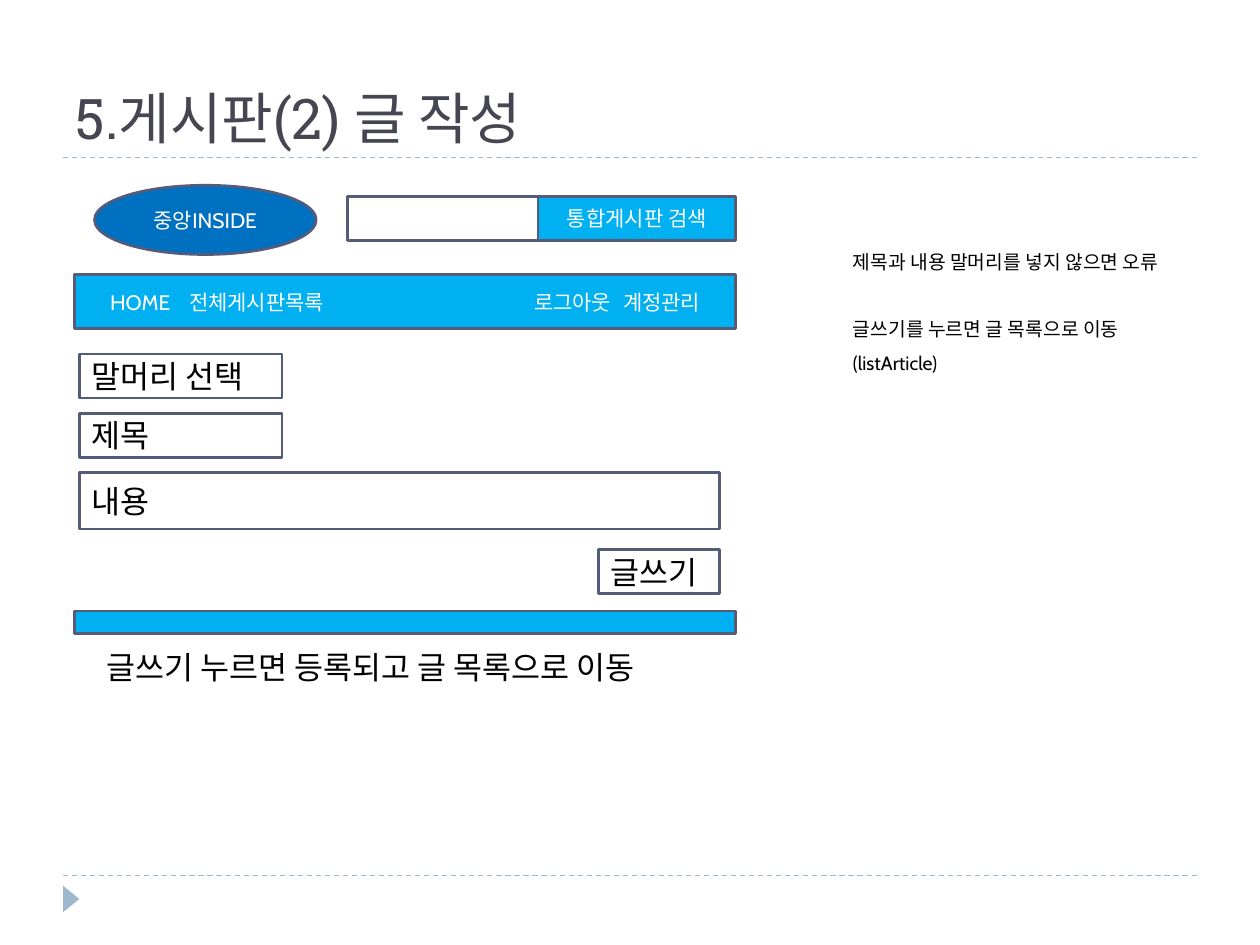
from dataclasses import dataclass

from lxml.etree import SubElement
from pptx import Presentation
from pptx.dml.color import RGBColor
from pptx.enum.dml import MSO_LINE
from pptx.enum.shapes import MSO_CONNECTOR, MSO_SHAPE
from pptx.enum.text import MSO_ANCHOR, PP_ALIGN
from pptx.oxml.ns import qn
from pptx.util import Pt

WHITE, BLACK = "FFFFFF", "000000"
SKY, BLUE, BORDER, RULE, HEADING = "00B0F0", "0070C0", "545C79", "9FB8CD", "464653"
SIDE_INSET, TOP_INSET = 7.2, 3.6
PAGE_LEFT, PAGE_RIGHT = 36, 684
FIELD_LEFT, FIELD_RIGHT = 45.36, 411.12
BAR_LEFT, BAR_WIDTH = 42.48, 378
ROW_HEIGHT = 25.2


@dataclass(frozen=True)
class Box:
    left: float
    top: float
    width: float
    height: float
    text: str = ""
    fill: str = WHITE
    color: str = BLACK
    size: float = 18
    align: PP_ALIGN = PP_ALIGN.LEFT
    outline: MSO_SHAPE = MSO_SHAPE.RECTANGLE


@dataclass(frozen=True)
class Note:
    text: str
    space_before: float


BUTTON = dict(color=WHITE, size=12, align=PP_ALIGN.CENTER)
NAVIGATION = Box(BAR_LEFT, 156.96, BAR_WIDTH, 30.96,
                 "HOME\t전체게시판목록\t로그아웃\t계정관리", SKY, WHITE, 12)
NAVIGATION_INDENT = 20.4
NAVIGATION_TABS = (45.1, 242.3, 293.1)
BOXES = (
    Box(54, 105.84, 126.72, 39.6, "중앙INSIDE", BLUE,
        outline=MSO_SHAPE.OVAL, **BUTTON),
    Box(198.72, 112.32, 109.44, ROW_HEIGHT),
    Box(307.44, 112.32, 113.04, ROW_HEIGHT, "통합게시판 검색", SKY, **BUTTON),
    Box(FIELD_LEFT, 202.32, 115.92, ROW_HEIGHT, "말머리 선택"),
    Box(FIELD_LEFT, 236.16, 115.92, ROW_HEIGHT, "제목"),
    Box(FIELD_LEFT, 270, FIELD_RIGHT - FIELD_LEFT, 32.4, "내용"),
    Box(FIELD_RIGHT - 69.12, 313.92, 69.12, ROW_HEIGHT, "글쓰기"),
    Box(BAR_LEFT, 349.2, BAR_WIDTH, 12.96, fill=SKY),
)
NOTES = (
    Note("제목과 내용 말머리를 넣지 않으면 오류", 0),
    Note("글쓰기를 누르면 글 목록으로 이동", 25.2),
    Note("(listArticle)", 6),
)


def rgb(value: str) -> RGBColor:
    return RGBColor.from_string(value)


def format_frame(frame, anchor=MSO_ANCHOR.TOP, left=SIDE_INSET, top=TOP_INSET) -> None:
    settings = dict(word_wrap=True, vertical_anchor=anchor,
                    margin_left=Pt(left), margin_right=Pt(SIDE_INSET),
                    margin_top=Pt(top), margin_bottom=Pt(TOP_INSET))
    for key, value in settings.items():
        setattr(frame, key, value)


def write(paragraph, text: str, size: float, color: str = BLACK,
          align=PP_ALIGN.LEFT, font: str = "Cabin") -> None:
    paragraph.alignment = align
    run = paragraph.add_run()
    run.text = text
    for key, value in dict(name=font, size=Pt(size), bold=False).items():
        setattr(run.font, key, value)
    run.font.color.rgb = rgb(color)


def place(shape, left: float, top: float, width: float, height: float) -> None:
    for key, value in dict(left=left, top=top, width=width, height=height).items():
        setattr(shape, key, Pt(value))


def draw_box(slide, box: Box, indent: float = SIDE_INSET):
    shape = slide.shapes.add_shape(
        box.outline, Pt(box.left), Pt(box.top), Pt(box.width), Pt(box.height))
    shape.shadow.inherit = False
    shape.fill.solid()
    shape.fill.fore_color.rgb = rgb(box.fill)
    shape.line.color.rgb = rgb(BORDER)
    shape.line.width = Pt(1.5)
    format_frame(shape.text_frame, MSO_ANCHOR.MIDDLE, indent)
    if box.text:
        write(shape.text_frame.paragraphs[0], box.text, box.size, box.color, box.align)
    return shape


def set_tabs(paragraph, positions: tuple[float, ...]) -> None:
    tabs = SubElement(paragraph._p.get_or_add_pPr(), qn("a:tabLst"))
    for position in positions:
        SubElement(tabs, qn("a:tab"), pos=str(Pt(position)), algn="l")


def draw_rule(slide, y: float) -> None:
    rule = slide.shapes.add_connector(
        MSO_CONNECTOR.STRAIGHT, Pt(PAGE_LEFT), Pt(y), Pt(PAGE_RIGHT), Pt(y))
    rule.line.color.rgb = rgb(RULE)
    rule.line.width = Pt(0.75)
    rule.line.dash_style = MSO_LINE.DASH
    SubElement(rule._element.spPr, qn("a:effectLst"))


def draw_page_marker(slide) -> None:
    marker = slide.shapes.add_shape(
        MSO_SHAPE.ISOSCELES_TRIANGLE, Pt(33.12), Pt(509.04), Pt(15.12), Pt(9.36))
    marker.rotation = 90
    marker.shadow.inherit = False
    marker.fill.solid()
    marker.fill.fore_color.rgb = rgb(RULE)
    marker.line.fill.background()


def draw_title(slide) -> None:
    title = slide.shapes.title
    place(title, PAGE_LEFT, 12.24, PAGE_RIGHT - PAGE_LEFT, 77.76)
    format_frame(title.text_frame, MSO_ANCHOR.BOTTOM)
    write(title.text_frame.paragraphs[0], "5.게시판(2) 글 작성", 32, HEADING,
          font="Roboto Slab")


def draw_notes(slide) -> None:
    frame = slide.shapes.add_textbox(
        Pt(480.24), Pt(120.24), Pt(227.52), Pt(388.8)).text_frame
    format_frame(frame, top=22.8)
    for index, note in enumerate(NOTES):
        paragraph = frame.add_paragraph() if index else frame.paragraphs[0]
        paragraph.space_before = Pt(note.space_before)
        write(paragraph, note.text, 11)


def draw_caption(slide) -> None:
    frame = slide.shapes.add_textbox(
        Pt(54), Pt(366.48), Pt(366.48), Pt(28.8)).text_frame
    format_frame(frame)
    write(frame.paragraphs[0], "글쓰기 누르면 등록되고 글 목록으로 이동", 18)


def main() -> None:
    presentation = Presentation()
    presentation.slide_width, presentation.slide_height = Pt(720), Pt(540)
    slide = presentation.slides.add_slide(presentation.slide_layouts[5])
    for y in (500.4, 90):
        draw_rule(slide, y)
    draw_page_marker(slide)
    draw_title(slide)
    navigation = draw_box(slide, NAVIGATION, NAVIGATION_INDENT)
    set_tabs(navigation.text_frame.paragraphs[0], NAVIGATION_TABS)
    for box in BOXES:
        draw_box(slide, box)
    draw_notes(slide)
    draw_caption(slide)
    presentation.save("out.pptx")


if __name__ == "__main__":
    main()
